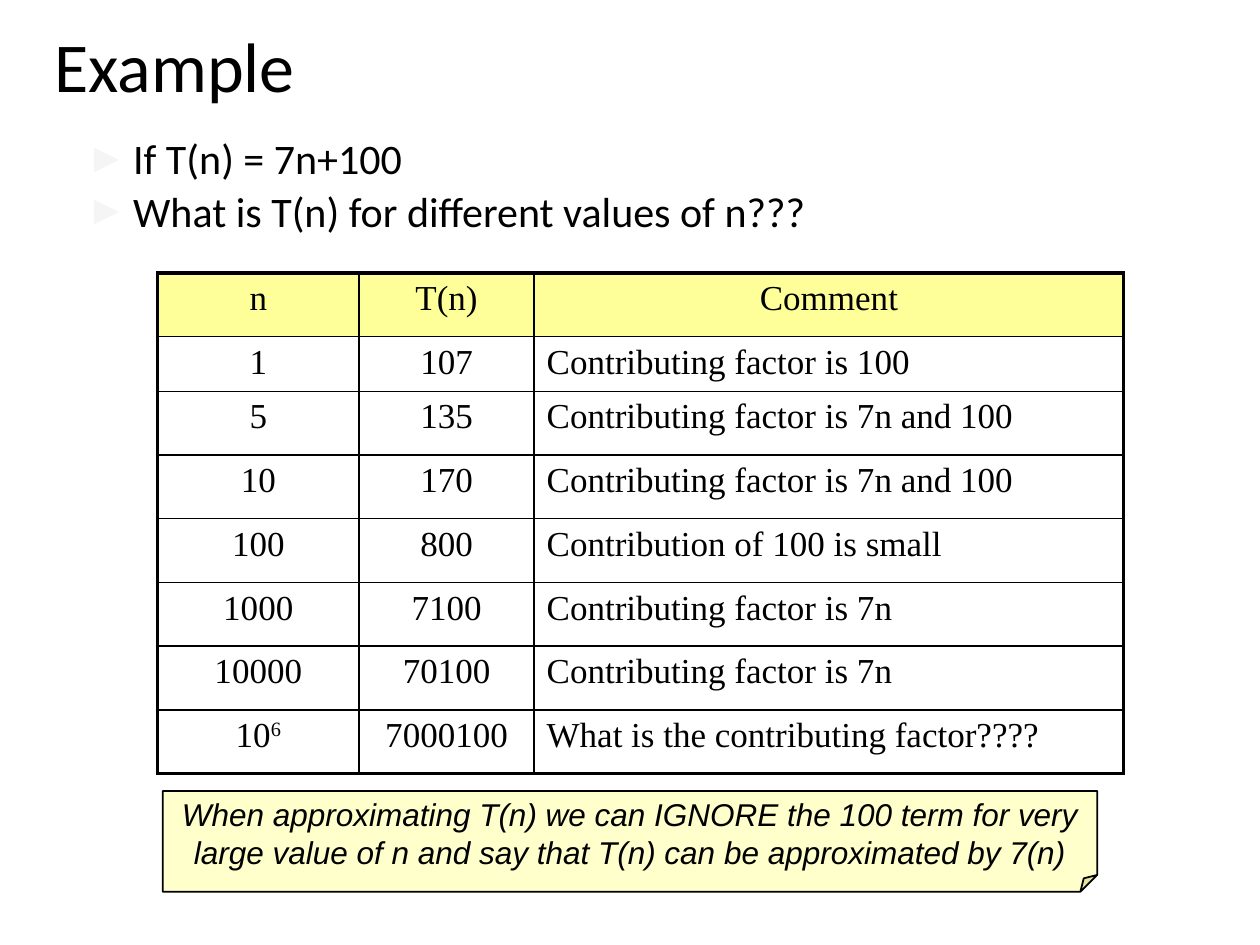
from lxml import etree
from pptx import Presentation
from pptx.dml.color import RGBColor
from pptx.enum import shapes, text
from pptx.oxml import ns
from pptx.util import Pt

BLACK = RGBColor(0x00, 0x00, 0x00)
YELLOW = RGBColor(0xFF, 0xFF, 0x99)
BULLET_GREY = RGBColor(0xF5, 0xF5, 0xF5)
CENTER, LEFT = text.PP_ALIGN.CENTER, text.PP_ALIGN.LEFT
THIN, THICK = 1, 2.25

QUESTIONS = ["If T(n) = 7n+100", "What is T(n) for different values of n???"]
HEADER = ("n", "T(n)", "Comment")
GROWTH = [
    ("1", "107", "Contributing factor is 100"),
    ("5", "135", "Contributing factor is 7n and 100"),
    ("10", "170", "Contributing factor is 7n and 100"),
    ("100", "800", "Contribution of 100 is small"),
    ("1000", "7100", "Contributing factor is 7n"),
    ("10000", "70100", "Contributing factor is 7n"),
    ("10^6", "7000100", "What is the contributing factor????"),
]
COLUMN_WIDTHS = (115.2, 100, 337)
ROW_HEIGHTS = (36.4, 31) + (36.4,) * 6
CONCLUSION = ("When approximating T(n) we can IGNORE the 100 term for very "
              "large value of n and say that T(n) can be approximated by 7(n)")


def add_xml(parent, tag, **attributes):
    return etree.SubElement(parent, ns.qn(tag), attributes)


def write(paragraph, words, *, font, size, align=LEFT, italic=False,
          line_spacing=None, space_before=0):
    """Fill a paragraph; whatever follows a ^ is superscript."""
    paragraph.alignment = align
    paragraph.space_before = Pt(space_before)
    if line_spacing:
        paragraph.line_spacing = line_spacing
    base, _, exponent = words.partition("^")
    for part in filter(None, (base, exponent)):
        run = paragraph.add_run()
        run.text = part
        run.font.name = font
        run.font.size = Pt(size)
        run.font.italic = italic
        run.font.color.rgb = BLACK
        if part is exponent:
            run.font._element.set("baseline", "30000")


def add_bullet(paragraph, indent):
    properties = paragraph._p.get_or_add_pPr()
    properties.set("marL", str(Pt(indent)))
    properties.set("indent", str(-Pt(indent)))
    colour = add_xml(properties, "a:buClr")
    add_xml(colour, "a:srgbClr", val=str(BULLET_GREY))
    add_xml(properties, "a:buFont", typeface="Arial")
    add_xml(properties, "a:buChar", char="►")


def set_borders(cell, **widths):
    """Draw the cell's black edges; keywords are L, R, T and B in points."""
    properties = cell._tc.get_or_add_tcPr()
    for position, (side, width) in enumerate(widths.items()):
        edge = etree.Element(ns.qn(f"a:ln{side}"), w=str(Pt(width)))
        fill = add_xml(edge, "a:solidFill")
        add_xml(fill, "a:srgbClr", val=str(BLACK))
        properties.insert(position, edge)


def add_title(slide, words):
    title = slide.shapes.title
    title.left, title.top, title.width, title.height = map(Pt, (24, 12, 648, 56))
    title.text_frame.vertical_anchor = text.MSO_ANCHOR.MIDDLE
    write(title.text_frame.paragraphs[0], words, font="Calibri", size=40,
          line_spacing=0.9)


def add_questions(slide):
    box = slide.shapes.add_textbox(Pt(42), Pt(78), Pt(642), Pt(66))
    frame = box.text_frame
    frame.word_wrap = True
    for index, question in enumerate(QUESTIONS):
        paragraph = frame.add_paragraph() if index else frame.paragraphs[0]
        add_bullet(paragraph, 27)
        write(paragraph, question, font="Calibri", size=24, line_spacing=0.8,
              space_before=7 if index else 0)


def add_growth_table(slide):
    rows = [HEADER, *GROWTH]
    last_row, last_column = len(rows) - 1, len(HEADER) - 1
    frame = slide.shapes.add_table(len(rows), len(HEADER), Pt(90), Pt(156),
                                   Pt(sum(COLUMN_WIDTHS)), Pt(sum(ROW_HEIGHTS)))
    table = frame.table
    table.first_row = table.horz_banding = False
    for column, width in zip(table.columns, COLUMN_WIDTHS):
        column.width = Pt(width)
    for r, (row, height) in enumerate(zip(rows, ROW_HEIGHTS)):
        table.rows[r].height = Pt(height)
        for c, words in enumerate(row):
            cell = table.cell(r, c)
            if r == 0:
                cell.fill.solid()
                cell.fill.fore_color.rgb = YELLOW
            else:
                cell.fill.background()
            set_borders(cell,
                        L=THICK if c == 0 else THIN,
                        R=THICK if c == last_column else THIN,
                        T=THICK if r == 0 else THIN,
                        B=THICK if r == last_row else THIN)
            is_comment = r > 0 and c == last_column
            write(cell.text_frame.paragraphs[0], words, font="Times New Roman",
                  size=20, align=LEFT if is_comment else CENTER)


def add_conclusion(slide):
    note = slide.shapes.add_shape(shapes.MSO_SHAPE.FOLDED_CORNER,
                                  Pt(93), Pt(452), Pt(534), Pt(57.6))
    note.shadow.inherit = False
    note.fill.solid()
    note.fill.fore_color.rgb = YELLOW
    colour = note._element.spPr.find(".//" + ns.qn("a:srgbClr"))
    add_xml(colour, "a:alpha", val="50000")
    note.line.color.rgb = BLACK
    note.line.width = Pt(1)
    note.text_frame.word_wrap = True
    note.text_frame.vertical_anchor = text.MSO_ANCHOR.MIDDLE
    write(note.text_frame.paragraphs[0], CONCLUSION, font="Arial", size=18,
          align=CENTER, italic=True)


def main():
    deck = Presentation()
    deck.slide_width, deck.slide_height = Pt(720), Pt(540)
    slide = deck.slides.add_slide(deck.slide_layouts[5])
    add_title(slide, "Example")
    add_questions(slide)
    add_growth_table(slide)
    add_conclusion(slide)
    deck.save("out.pptx")


if __name__ == "__main__":
    main()
